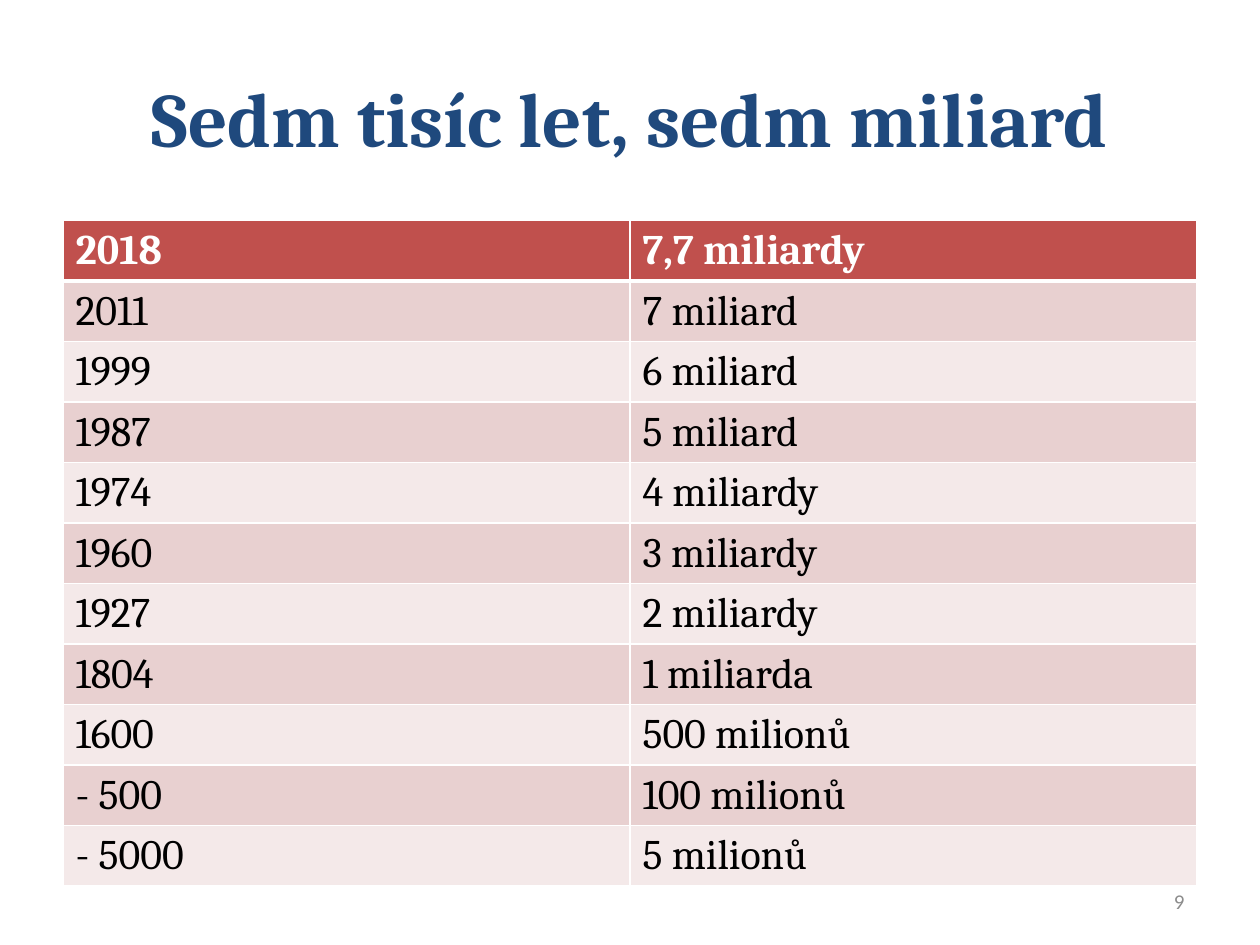
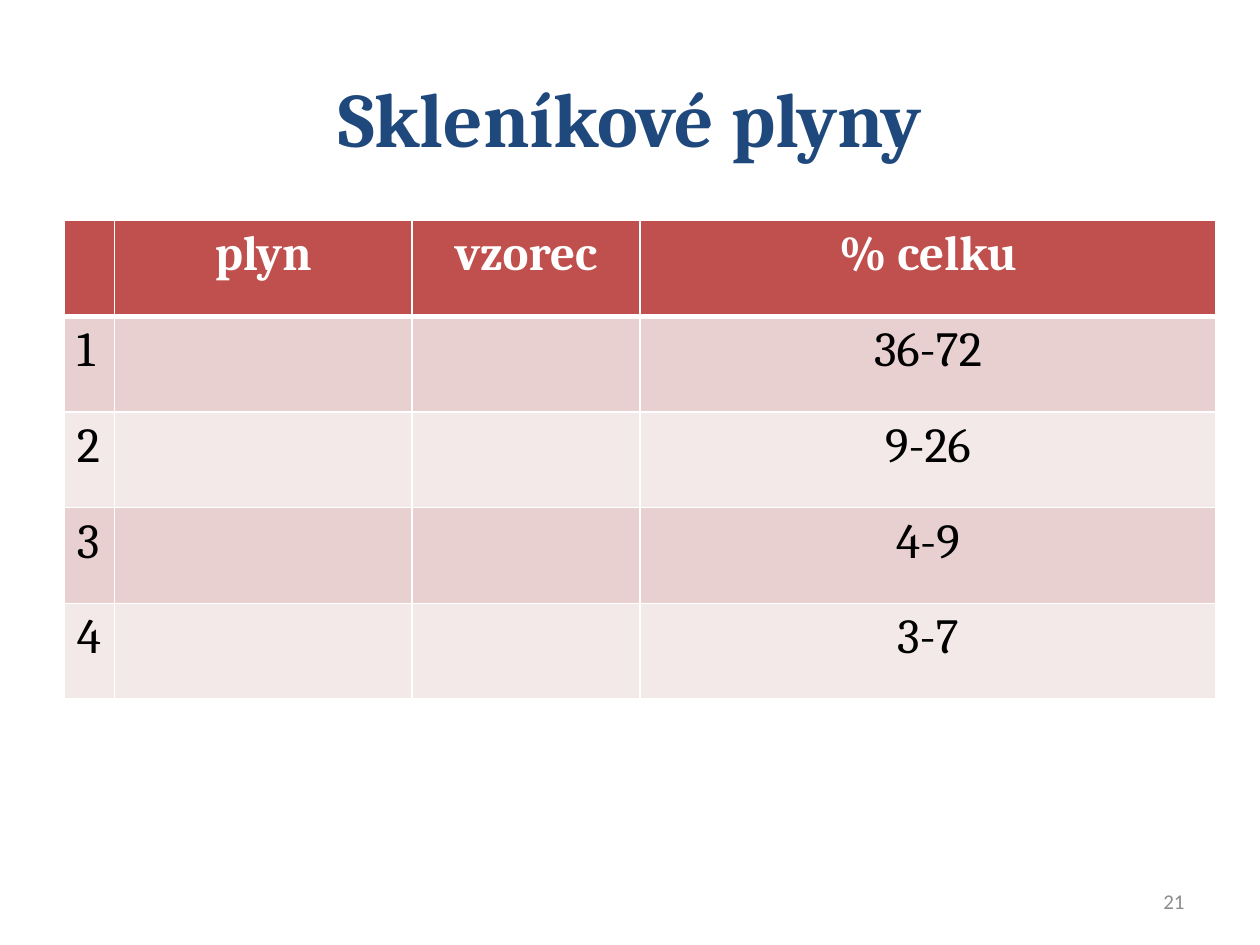
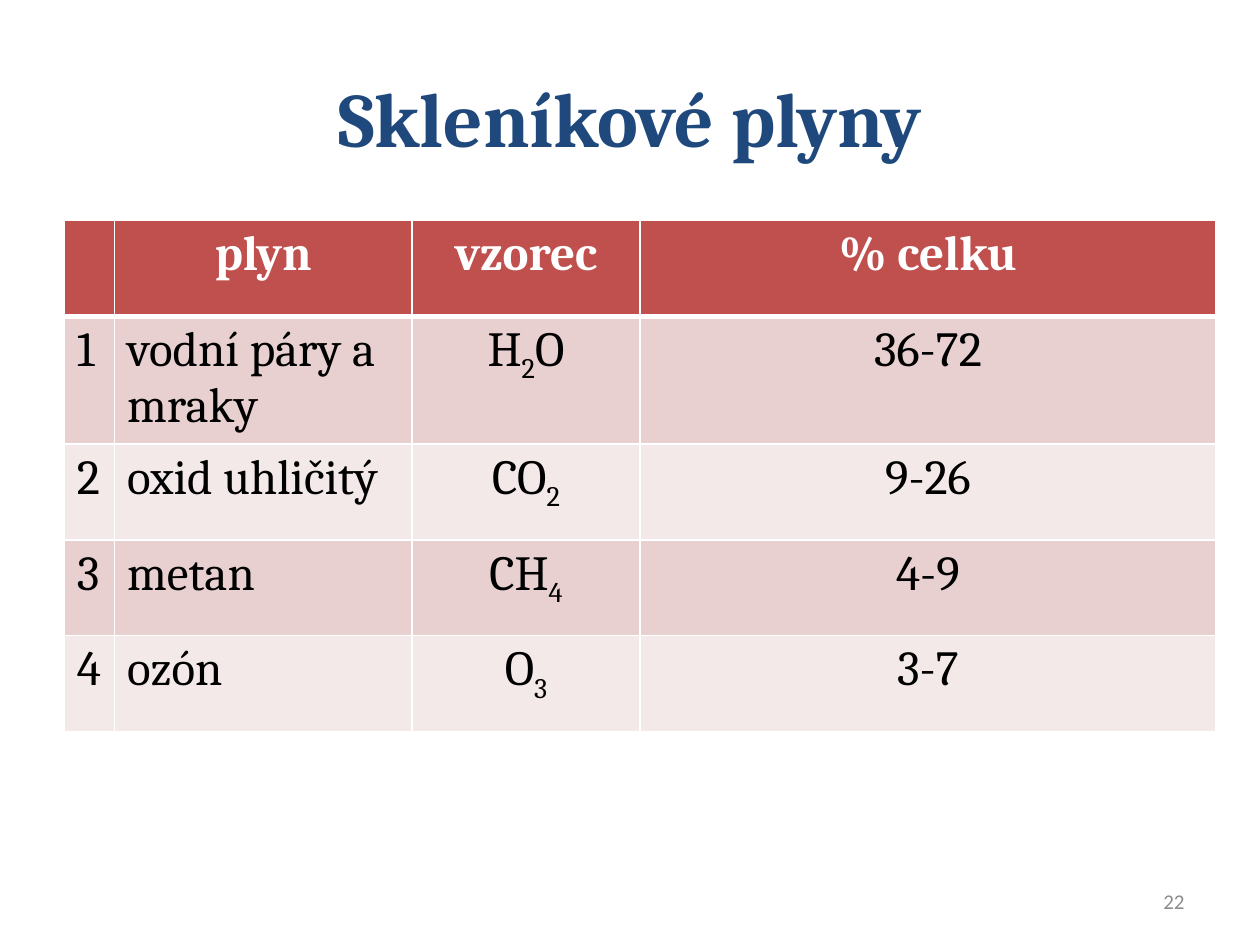
from lxml import etree
from pptx import Presentation
from pptx import util as u
from pptx.dml.color import RGBColor
from pptx.enum import text
from pptx.oxml import ns

NAVY, RED, WHITE, BLACK, GREY = "1F497D", "C0504D", "FFFFFF", "000000", "8C8C8C"
BANDS = ["E8D0D0", "F4E9E9"]
LEFT, CENTER, RIGHT = text.PP_ALIGN.LEFT, text.PP_ALIGN.CENTER, text.PP_ALIGN.RIGHT


def write(frame, content, size, color, font="Cambria", bold=False, align=LEFT):
    """Fill a text frame; parts between underscores become subscripts."""
    frame.word_wrap = True
    paragraph = frame.paragraphs[0]
    paragraph.alignment = align
    paragraph.font.size = u.Pt(size)
    for index, part in enumerate(content.split("_")):
        if not part:
            continue
        run = paragraph.add_run()
        run.text = part
        run.font.size = u.Pt(size)
        run.font.name = font
        run.font.bold = bold
        run.font.color.rgb = RGBColor.from_string(color)
        if index % 2:
            run.font._element.set("baseline", "-25000")


def add_borders(cell, widths):
    """Draw white cell borders; widths maps L, R, T and B to points."""
    properties = cell._tc.get_or_add_tcPr()
    for side, width in widths.items():
        line = etree.SubElement(properties, ns.qn(f"a:ln{side}"), w=str(u.Pt(width)))
        fill = etree.SubElement(line, ns.qn("a:solidFill"))
        etree.SubElement(fill, ns.qn("a:srgbClr"), val=WHITE)


population = [
    ["2018", "7,7 miliardy"],
    ["2011", "7 miliard"],
    ["1999", "6 miliard"],
    ["1987", "5 miliard"],
    ["1974", "4 miliardy"],
    ["1960", "3 miliardy"],
    ["1927", "2 miliardy"],
    ["1804", "1 miliarda"],
    ["1600", "500 milionů"],
    ["- 500", "100 milionů"],
    ["- 5000", "5 milionů"],
]
gases = [
    ["", "plyn", "vzorec", "% celku"],
    ["1", "vodní páry a mraky", "H_2_O", "36-72"],
    ["2", "oxid uhličitý", "CO_2_", "9-26"],
    ["3", "metan", "CH_4_", "4-9"],
    ["4", "ozón", "O_3_", "3-7"],
]
gases_to_fill = gases[:1] + [[number, "", "", share] for number, _, _, share in gases[1:]]

population_layout = dict(left=0.5, columns=[4.5, 4.5], row_height=0.41, size=24,
                         header_align=LEFT, body_aligns=[LEFT, LEFT])
gas_layout = dict(left=0.51, columns=[0.4, 2.36, 1.81, 4.57], row_height=0.76, size=28,
                  header_align=CENTER, body_aligns=[LEFT, LEFT, CENTER, CENTER])

slides = [
    ("Sedm tisíc let, sedm miliard", "9", population, population_layout),
    ("Skleníkové plyny", "21", gases_to_fill, gas_layout),
    ("Skleníkové plyny", "22", gases, gas_layout),
]

presentation = Presentation()
presentation.slide_width = u.Inches(10)
presentation.slide_height = u.Inches(7.5)

for title, page_number, rows, layout in slides:
    slide = presentation.slides.add_slide(presentation.slide_layouts[6])

    title_box = slide.shapes.add_textbox(u.Inches(0.5), u.Inches(0.3), u.Inches(9), u.Inches(1.25))
    title_box.text_frame.vertical_anchor = text.MSO_ANCHOR.MIDDLE
    write(title_box.text_frame, title, 44, NAVY, bold=True, align=CENTER)

    columns = layout["columns"]
    table = slide.shapes.add_table(
        len(rows), len(columns), u.Inches(layout["left"]), u.Inches(1.75),
        u.Inches(sum(columns)), u.Inches(layout["row_height"] * len(rows))).table
    for column, width in zip(table.columns, columns):
        column.width = u.Inches(width)

    for row_index, row in enumerate(rows):
        table.rows[row_index].height = u.Inches(layout["row_height"])
        header = row_index == 0
        for column_index, content in enumerate(row):
            cell = table.cell(row_index, column_index)
            # Rows grow to fit their text; a small bottom margin keeps the table above the page number.
            cell.margin_bottom = u.Inches(0.03)
            add_borders(cell, {"L": 1, "R": 1, "T": 3 if row_index == 1 else 1, "B": 3 if header else 1})
            cell.fill.solid()
            cell.fill.fore_color.rgb = RGBColor.from_string(RED if header else BANDS[(row_index - 1) % 2])
            write(cell.text_frame, content, layout["size"], WHITE if header else BLACK, bold=header,
                  align=layout["header_align"] if header else layout["body_aligns"][column_index])

    number_box = slide.shapes.add_textbox(u.Inches(7.17), u.Inches(6.95), u.Inches(2.33), u.Inches(0.4))
    number_box.text_frame.vertical_anchor = text.MSO_ANCHOR.MIDDLE
    write(number_box.text_frame, page_number, 12, GREY, font="Calibri", align=RIGHT)

presentation.save("out.pptx")
